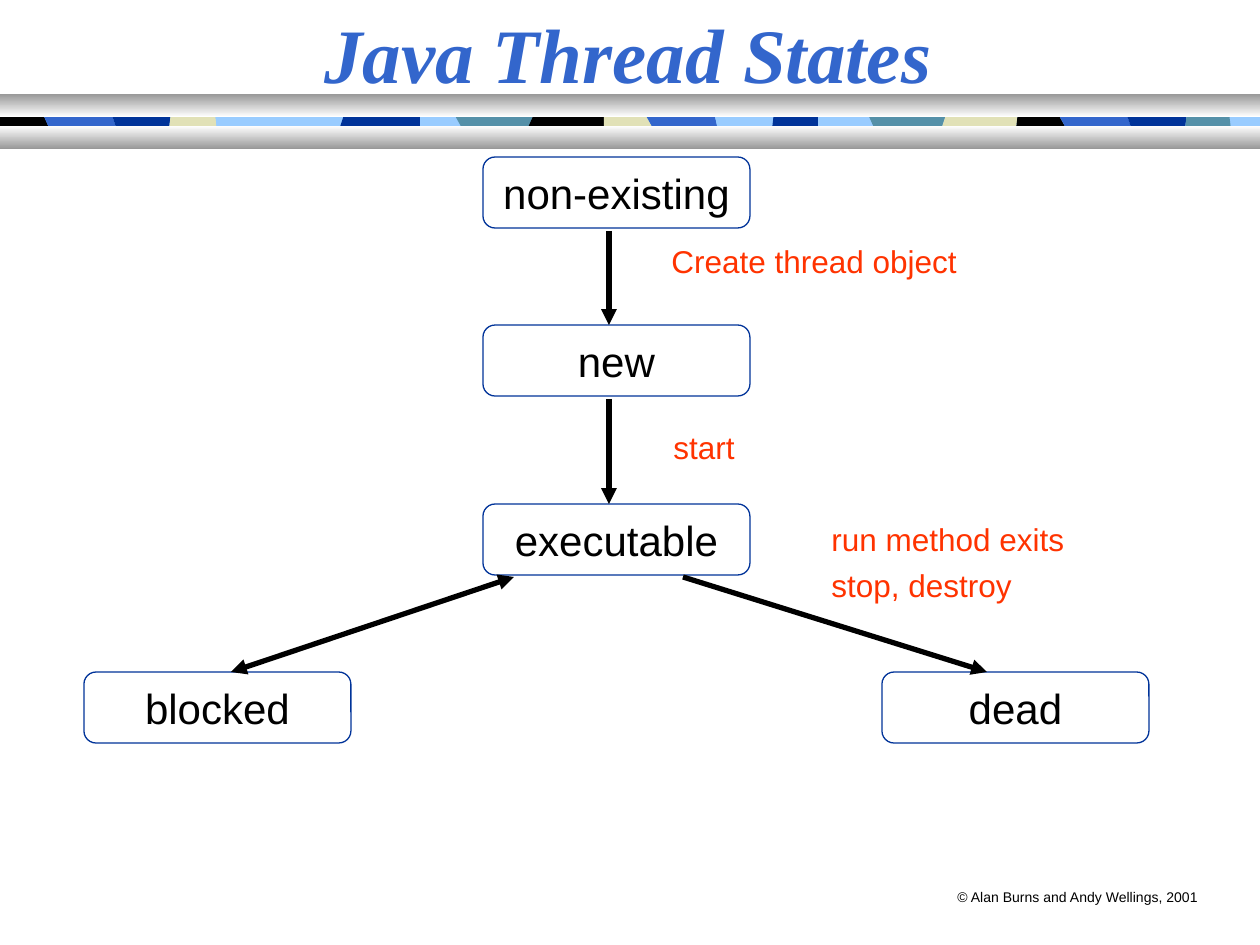
"""Build the Java thread states slide."""
from lxml import etree
from pptx import Presentation
from pptx.dml.color import RGBColor
from pptx.enum.shapes import MSO_CONNECTOR, MSO_SHAPE
from pptx.enum.text import MSO_ANCHOR, PP_ALIGN
from pptx.oxml.ns import qn
from pptx.util import Pt

RECTANGLE, ROUNDED = MSO_SHAPE.RECTANGLE, MSO_SHAPE.ROUNDED_RECTANGLE
STRAIGHT = MSO_CONNECTOR.STRAIGHT
LEFT, CENTER = PP_ALIGN.LEFT, PP_ALIGN.CENTER
TOP, MIDDLE = MSO_ANCHOR.TOP, MSO_ANCHOR.MIDDLE

BLACK = RGBColor(0x00, 0x00, 0x00)
WHITE = RGBColor(0xFF, 0xFF, 0xFF)
GREY = RGBColor(0x98, 0x98, 0x98)
NAVY = RGBColor(0x00, 0x33, 0x99)
BLUE = RGBColor(0x33, 0x66, 0xCC)
LIGHT = RGBColor(0x99, 0xCC, 0xFF)
TEAL = RGBColor(0x54, 0x90, 0xA8)
BEIGE = RGBColor(0xE1, 0xE1, 0xB7)
RED = RGBColor(0xFF, 0x33, 0x00)

WIDTH, HEIGHT, PX_PER_INCH = 1260, 945, 126
STRIP_TOP, STRIP_BOTTOM, STRIP_MIDDLE = 107, 142, 121
BAR_HEIGHT = 23
BARS = [(94, GREY, WHITE), (126, WHITE, GREY)]
# Left edge, lean of that edge, colour
TILES = [
    (0, 0, BLACK), (46, 4, BLUE), (114, 3, NAVY), (170, -1, BEIGE),
    (216, 1, LIGHT), (342, -3, NAVY), (420, 0, None), (458, 5, TEAL),
    (531, -4, BLACK), (604, 0, BEIGE), (649, 5, BLUE), (716, 2, LIGHT),
    (773, -1, NAVY), (818, 0, None), (871, 4, TEAL), (944, -3, BEIGE),
    (1017, -1, BLACK), (1062, 5, BLUE), (1129, 3, NAVY), (1186, -1, TEAL),
    (1230, 1, None),
]
STATE_WIDTH, STATE_HEIGHT = 267, 71
STATES = [
    ("dead", 882, 672), ("blocked", 84, 672), ("non-existing", 483, 157),
    ("new", 483, 325), ("executable", 483, 504),
]
# Start, end, ends that carry an arrowhead
ARROWS = [
    ((609, 231), (609, 325), ["tailEnd"]),
    ((609, 399), (609, 504), ["tailEnd"]),
    ((514, 577), (231, 672), ["headEnd", "tailEnd"]),
    ((683, 577), (987, 672), ["tailEnd"]),
]
LABELS = [
    (["Create thread object"], (659, 236, 319, 50)),
    (["start"], (661, 422, 86, 50)),
    (["run method exits", "stop, destroy"], (819, 514, 258, 97)),
]


def emu(px):
    return round(px * 914400 / PX_PER_INCH)


def write(shape, lines, size, color, font="Arial", align=LEFT, anchor=TOP,
          wrap=False, bold=False):
    frame = shape.text_frame
    frame.word_wrap = wrap
    frame.vertical_anchor = anchor
    for index, line in enumerate(lines):
        paragraph = frame.add_paragraph() if index else frame.paragraphs[0]
        paragraph.alignment = align
        if index:
            paragraph.space_before = Pt(4.5)
        run = paragraph.add_run()
        run.text = line
        run.font.name, run.font.size = font, Pt(size)
        run.font.bold = run.font.italic = bold
        run.font.color.rgb = color


def add_text(slide, box, lines, size, color, **style):
    shape = slide.shapes.add_textbox(*map(emu, box))
    write(shape, lines, size, color, **style)


def add_shape(slide, kind, box):
    shape = slide.shapes.add_shape(kind, *map(emu, box))
    shape.shadow.inherit = False
    return shape


def add_tile(slide, left, left_lean, right, right_lean, color):
    def corner(x, lean, y):
        return emu(x + lean * (y - STRIP_MIDDLE) / 9), emu(y)

    builder = slide.shapes.build_freeform(*corner(left, left_lean, STRIP_TOP))
    builder.add_line_segments([
        corner(right, right_lean, STRIP_TOP),
        corner(right, right_lean, STRIP_BOTTOM),
        corner(left, left_lean, STRIP_BOTTOM),
    ])
    tile = builder.convert_to_shape()
    tile.shadow.inherit = False
    tile.fill.solid()
    tile.fill.fore_color.rgb = color
    tile.line.fill.background()


def add_band(slide):
    add_tile(slide, 0, 0, WIDTH, 0, LIGHT)
    for (left, lean, color), (right, right_lean, _) in zip(TILES, TILES[1:]):
        if color is not None:
            add_tile(slide, left, lean, right, right_lean, color)
    for top, upper, lower in BARS:
        bar = add_shape(slide, RECTANGLE, (0, top, WIDTH, BAR_HEIGHT))
        bar.line.fill.background()
        bar.fill.gradient()
        bar.fill.gradient_angle = 270
        for stop, position, color in zip(bar.fill.gradient_stops, (0, 1), (upper, lower)):
            stop.position = position
            stop.color.rgb = color


def add_state(slide, name, left, top):
    state = add_shape(slide, ROUNDED, (left, top, STATE_WIDTH, STATE_HEIGHT))
    state.adjustments[0] = 0.17
    state.fill.background()
    state.line.color.rgb = NAVY
    state.line.width = Pt(0.75)
    write(state, [name], 24, BLACK, align=CENTER, anchor=MIDDLE, wrap=True)


def add_arrow(slide, start, end, heads):
    arrow = slide.shapes.add_connector(STRAIGHT, *map(emu, start + end))
    arrow.line.color.rgb = BLACK
    arrow.line.width = Pt(3)
    line = arrow.line._get_or_add_ln()
    for head in heads:
        etree.SubElement(line, qn("a:" + head), type="triangle")
    etree.SubElement(arrow._element.spPr, qn("a:effectLst"))


def main():
    presentation = Presentation()
    presentation.slide_width, presentation.slide_height = emu(WIDTH), emu(HEIGHT)
    slide = presentation.slides.add_slide(presentation.slide_layouts[6])
    add_band(slide)
    add_text(slide, (945, 882, 267, 30), ["© Alan Burns and Andy Wellings, 2001"], 8, BLACK)
    add_text(slide, (0, 0, 1256, 105), ["Java Thread States"], 44, BLUE,
             font="Times New Roman", align=CENTER, anchor=MIDDLE, wrap=True, bold=True)
    for state in STATES:
        add_state(slide, *state)
    for arrow in ARROWS:
        add_arrow(slide, *arrow)
    for lines, box in LABELS:
        add_text(slide, box, lines, 18, RED)
    presentation.save("out.pptx")


if __name__ == "__main__":
    main()
